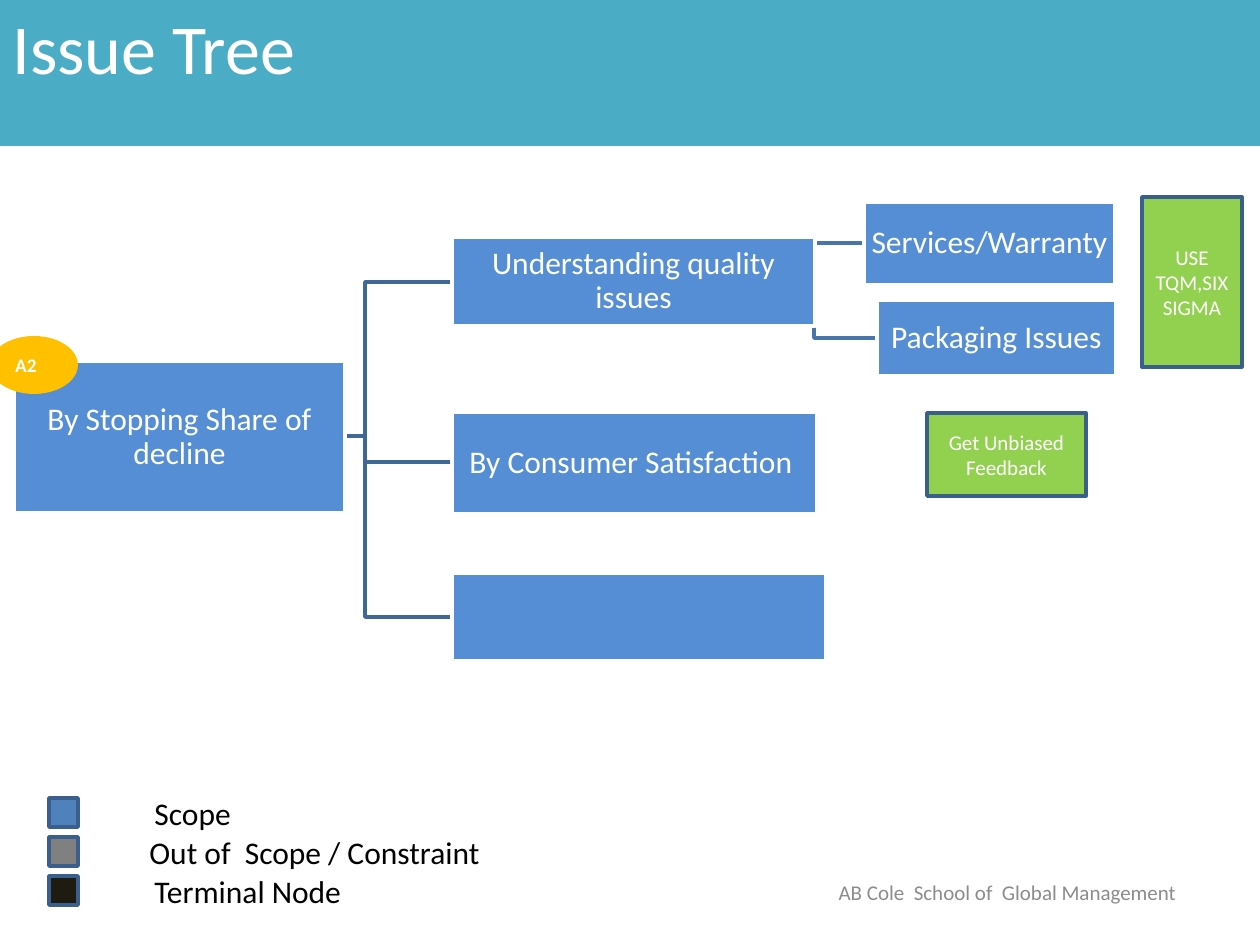
"""Build the issue tree slide with its legend and footer."""
from pptx import Presentation, util as u
from pptx.dml.color import RGBColor
from pptx.enum import shapes, text

PX = 914400 / 126
WHITE = RGBColor(0xFF, 0xFF, 0xFF)
BLACK = RGBColor(0, 0, 0)
BAND = RGBColor(0x4B, 0xAC, 0xC6)
NODE = RGBColor(0x55, 0x8E, 0xD5)
GREEN = RGBColor(0x92, 0xD0, 0x50)
AMBER = RGBColor(0xFF, 0xC0, 0x00)
SCOPE = RGBColor(0x4F, 0x81, 0xBD)
GREY = RGBColor(0x80, 0x80, 0x80)
DARK = RGBColor(0x1E, 0x1C, 0x11)
EDGE = RGBColor(0x3A, 0x5F, 0x8C)
BRANCH = RGBColor(0x3F, 0x67, 0x97)
TWIG = RGBColor(0x48, 0x75, 0xAC)
FOOTER = RGBColor(0x8C, 0x8C, 0x8C)
RECT, OVAL = shapes.MSO_SHAPE.RECTANGLE, shapes.MSO_SHAPE.OVAL
LEFT, CENTER = text.PP_ALIGN.LEFT, text.PP_ALIGN.CENTER
TOP, MIDDLE = text.MSO_ANCHOR.TOP, text.MSO_ANCHOR.MIDDLE


def write(sp, words, size, color, align, anchor):
    tf = sp.text_frame
    tf.word_wrap = True
    tf.auto_size = text.MSO_AUTO_SIZE.NONE
    tf.vertical_anchor = anchor
    p = tf.paragraphs[0]
    p.text = words
    p.alignment = align
    p.font.name, p.font.size, p.font.color.rgb = "Calibri", u.Pt(size), color
    return p


def add_box(kind, at, fill, line=None):
    sp = s.shapes.add_shape(kind, *[round(v * PX) for v in at])
    sp.shadow.inherit = False
    sp.fill.solid()
    sp.fill.fore_color.rgb = fill
    if line is None:
        sp.line.fill.background()
    else:
        sp.line.color.rgb = line
        sp.line.width = u.Pt(2)
    return sp


prs = Presentation()
prs.slide_width, prs.slide_height = u.Inches(10), u.Inches(7.5)
s = prs.slides.add_slide(prs.slide_layouts[5])

title = s.shapes.title
title.left, title.top, title.width, title.height = [round(v * PX) for v in (0, -2, 1260, 148)]
title.fill.solid()
title.fill.fore_color.rgb = BAND
write(title, "Issue Tree", 40, WHITE, LEFT, TOP)

links = [
    ([(345, 436), (365, 436), (365, 617), (452, 617)], BRANCH),
    ([(345, 436), (365, 436), (365, 462), (452, 462)], BRANCH),
    ([(814, 282), (814, 338), (877, 338)], TWIG),
    ([(814, 282), (814, 243), (864, 243)], TWIG),
    ([(345, 436), (365, 436), (365, 282), (452, 282)], BRANCH),
]
for points, color in links:
    fb = s.shapes.build_freeform(*points[0], scale=PX)
    fb.add_line_segments(points[1:], close=False)
    sp = fb.convert_to_shape()
    sp.shadow.inherit = False
    sp.fill.background()
    sp.line.color.rgb = color
    sp.line.width = u.Pt(2)

nodes = [
    ("By Stopping Share of decline", (14, 361, 331, 152)),
    ("Understanding quality issues", (452, 237, 363, 89)),
    ("Services/Warranty", (864, 202, 251, 83)),
    ("Packaging Issues", (877, 300, 239, 76)),
    ("By Consumer Satisfaction ", (452, 412, 365, 102)),
    ("", (452, 573, 374, 88)),
]
for words, at in nodes:
    sp = add_box(RECT, at, NODE, WHITE)
    if words:
        p = write(sp, words, 18, WHITE, CENTER, MIDDLE)
        p.line_spacing = 0.9
        tf = sp.text_frame
        tf.margin_left = tf.margin_right = tf.margin_top = tf.margin_bottom = u.Inches(0.01)

badge = add_box(OVAL, (-10, 336, 88, 58), AMBER)
write(badge, "A2", 11, WHITE, LEFT, MIDDLE).font.bold = True

for words, at in [
    ("USE TQM,SIX SIGMA", (1142, 197, 100, 170)),
    ("Get Unbiased Feedback", (927, 413, 159, 83)),
]:
    write(add_box(RECT, at, GREEN, EDGE), words, 12, WHITE, CENTER, MIDDLE)

labels = []
for i, (words, x, fill) in enumerate([
    ("Scope", 142, SCOPE),
    ("Out of  Scope / Constraint", 137, GREY),
    ("Terminal Node", 142, DARK),
]):
    add_box(RECT, (49, 798 + 39 * i, 29, 29), fill, EDGE)
    labels.append((words, (x, 788 + 39 * i, 359, 50), 18, BLACK, LEFT, TOP))
labels.append(("AB Cole  School of  Global Management", (808, 867, 399, 50),
               12, FOOTER, CENTER, MIDDLE))
for words, at, *style in labels:
    tb = s.shapes.add_textbox(*[round(v * PX) for v in at])
    write(tb, words, *style)

prs.save("out.pptx")
